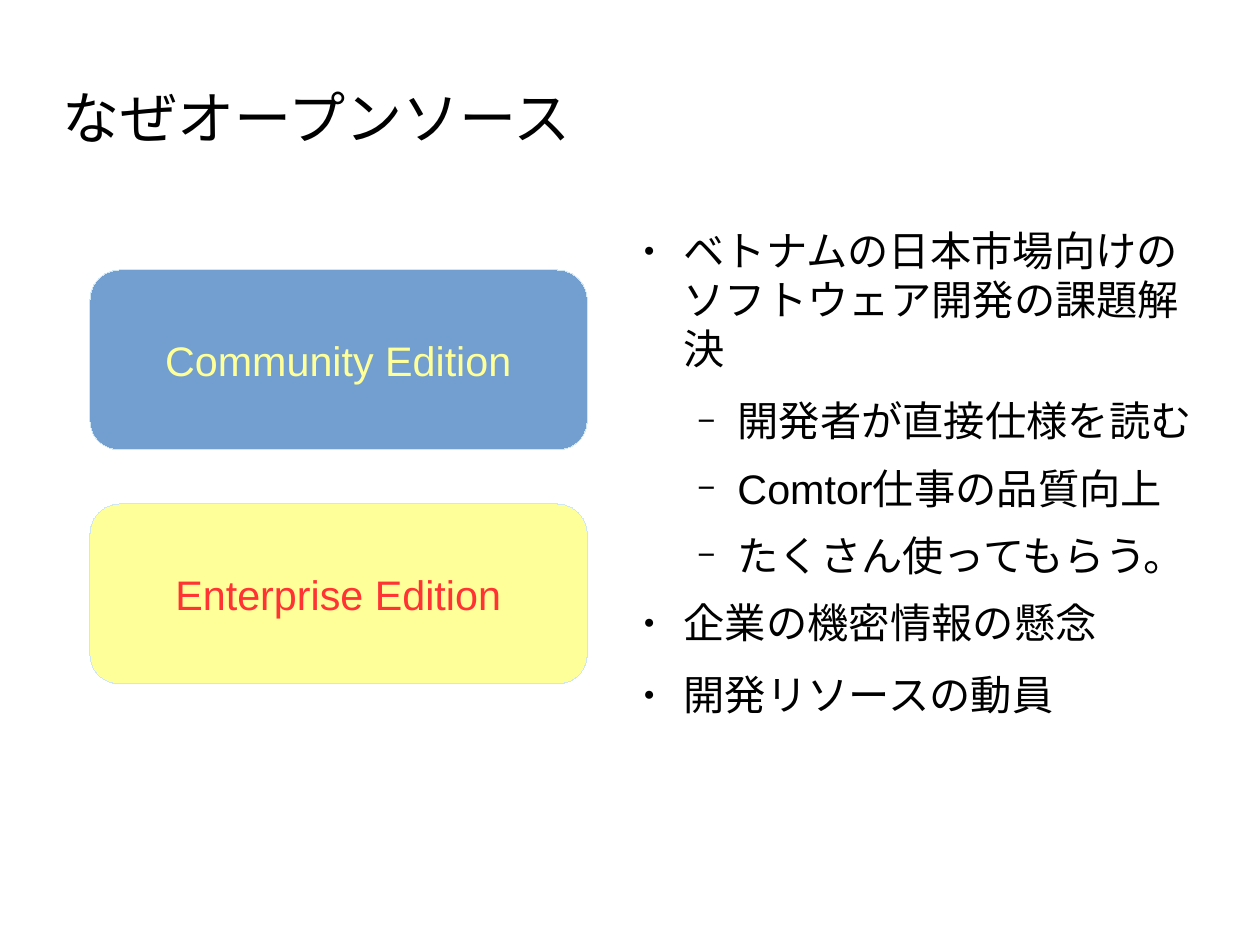
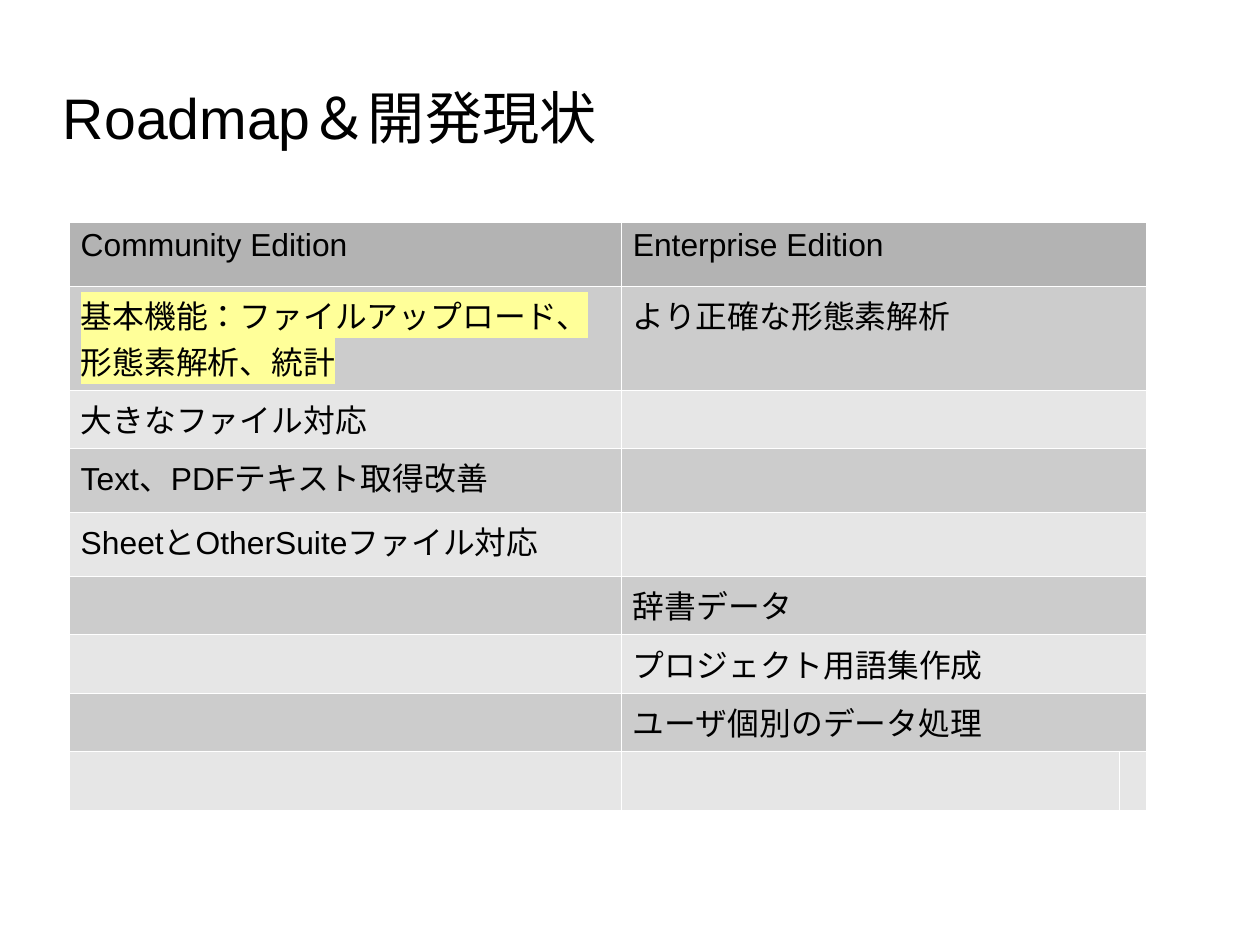
from dataclasses import dataclass

from lxml.etree import SubElement
from pptx import Presentation
from pptx.dml.color import RGBColor
from pptx.enum.lang import MSO_LANGUAGE_ID as Lang
from pptx.enum.shapes import MSO_SHAPE as Shape
from pptx.enum.text import MSO_ANCHOR as Anchor, MSO_AUTO_SIZE as AutoSize, PP_ALIGN as Align
from pptx.oxml.ns import qn
from pptx.slide import Slide
from pptx.util import Cm, Emu, Inches, Pt

GRID_COLUMNS, GRID_ROWS = 28, 21
SLIDE_WIDTH, SLIDE_HEIGHT = Cm(GRID_COLUMNS), Cm(GRID_ROWS)


@dataclass(frozen=True)
class Theme:
    font: str = "Arial"
    title_size: float = 36
    body_size: float = 26
    table_size: float = 20
    body_line: float = 31.1
    table_rule: float = 0.06
    ink: str = "000000"
    paper: str = "FFFFFF"
    blue: str = "729FCF"
    edge: str = "CFE7F5"
    yellow: str = "FFFF99"
    red: str = "FF3333"
    header: str = "B3B3B3"
    bands: tuple[str, str] = ("CCCCCC", "E6E6E6")


@dataclass(frozen=True)
class Area:
    """A rectangle in grid columns and rows."""
    column: float
    row: float
    columns: float
    rows: float

    def box(self) -> tuple[Emu, Emu, Emu, Emu]:
        return across(self.column), down(self.row), across(self.columns), down(self.rows)


@dataclass(frozen=True)
class BulletLevel:
    mark: str
    mark_percent: int
    margin: float
    space_after: float


@dataclass(frozen=True)
class Edition:
    name: str
    fill: str
    ink: str


@dataclass(frozen=True)
class RoadmapRow:
    community: str = ""
    enterprise: str = ""
    rows: float = 1.3
    done: bool = False


THEME = Theme()
TITLE_AREA = Area(1.4, 1.6, 20, 2)
REASONS_AREA = Area(14, 5, 12.6, 12.17)
FIRST_EDITION = Area(2, 6, 11.05, 4)
EDITION_STEP = 5.2
ROADMAP_CORNER = (1.54, 4.93)
ROADMAP_COLUMNS = (12.27, 11.05, 0.6)
HANGING_INDENT = Inches(0.35)

LEVELS = (BulletLevel("●", 45, 0.47, 14.2), BulletLevel("−", 75, 0.94, 11.3))
REASONS = (
    (0, "ベトナムの日本市場向けのソフトウェア開発の課題解決"),
    (1, "開発者が直接仕様を読む"),
    (1, "Comtor仕事の品質向上"),
    (1, "たくさん使ってもらう。"),
    (0, "企業の機密情報の懸念"),
    (0, "開発リソースの動員"),
)
EDITIONS = (
    Edition("Community Edition", THEME.blue, THEME.yellow),
    Edition("Enterprise Edition", THEME.yellow, THEME.red),
)
ROADMAP = (
    RoadmapRow(*(edition.name for edition in EDITIONS), rows=1.42),
    RoadmapRow("基本機能：ファイルアップロード、形態素解析、統計", "より正確な形態素解析", 2.31, done=True),
    RoadmapRow("大きなファイル対応"),
    RoadmapRow("Text、PDFテキスト取得改善", rows=1.42),
    RoadmapRow("SheetとOtherSuiteファイル対応", rows=1.42),
    RoadmapRow(enterprise="辞書データ"),
    RoadmapRow(enterprise="プロジェクト用語集作成"),
    RoadmapRow(enterprise="ユーザ個別のデータ処理"),
    RoadmapRow(),
)


def across(columns: float) -> Emu:
    return Emu(round(SLIDE_WIDTH * columns / GRID_COLUMNS))


def down(rows: float) -> Emu:
    return Emu(round(SLIDE_HEIGHT * rows / GRID_ROWS))


def rgb(code: str) -> RGBColor:
    return RGBColor.from_string(code)


def format_runs(paragraph, size: float, color: str = THEME.ink) -> None:
    for run in paragraph.runs:
        run.font.name = THEME.font
        run.font.size = Pt(size)
        run.font.color.rgb = rgb(color)
        run.font.language_id = Lang.JAPANESE


def place(placeholder, area: Area, anchor: Anchor):
    """Move a placeholder and return its text frame without margins."""
    placeholder.left, placeholder.top, placeholder.width, placeholder.height = area.box()
    frame = placeholder.text_frame
    frame.margin_left = frame.margin_right = frame.margin_top = frame.margin_bottom = 0
    frame.word_wrap = True
    frame.auto_size = AutoSize.NONE
    frame.vertical_anchor = anchor
    return frame


def add_titled_slide(deck, layout_name: str, title: str) -> Slide:
    slide = deck.slides.add_slide(deck.slide_layouts.get_by_name(layout_name))
    frame = place(slide.shapes.title, TITLE_AREA, Anchor.MIDDLE)
    frame.text = title
    frame.paragraphs[0].alignment = Align.LEFT
    format_runs(frame.paragraphs[0], THEME.title_size)
    return slide


def set_bullet(paragraph, level: BulletLevel) -> None:
    properties = paragraph._p.get_or_add_pPr()
    properties.set("marL", str(Inches(level.margin)))
    properties.set("indent", str(-HANGING_INDENT))
    color = SubElement(properties, qn("a:buClr"))
    SubElement(color, qn("a:srgbClr"), val=THEME.ink)
    SubElement(properties, qn("a:buSzPct"), val=str(level.mark_percent * 1000))
    SubElement(properties, qn("a:buChar"), char=level.mark)


def fill_reasons(slide: Slide) -> None:
    frame = place(slide.placeholders[1], REASONS_AREA, Anchor.TOP)
    frame.text = "\n".join(text for _, text in REASONS)
    for paragraph, (depth, _) in zip(frame.paragraphs, REASONS):
        level = LEVELS[depth]
        paragraph.level = depth
        paragraph.line_spacing = Pt(THEME.body_line)
        paragraph.space_before = Pt(0)
        paragraph.space_after = Pt(level.space_after)
        set_bullet(paragraph, level)
        format_runs(paragraph, THEME.body_size)


def add_edition(slide: Slide, edition: Edition, index: int) -> None:
    first = FIRST_EDITION
    area = Area(first.column, first.row + index * EDITION_STEP, first.columns, first.rows)
    card = slide.shapes.add_shape(Shape.ROUNDED_RECTANGLE, *area.box())
    card.shadow.inherit = False
    card.fill.solid()
    card.fill.fore_color.rgb = rgb(edition.fill)
    card.line.color.rgb = rgb(THEME.edge)
    card._element.spPr.get_or_add_ln().set("w", "0")
    frame = card.text_frame
    frame.word_wrap = False
    frame.vertical_anchor = Anchor.MIDDLE
    frame.text = edition.name
    frame.paragraphs[0].alignment = Align.CENTER
    format_runs(frame.paragraphs[0], THEME.body_size, edition.ink)


def style_cell(cell, fill: str) -> None:
    cell.fill.solid()
    cell.fill.fore_color.rgb = rgb(fill)
    properties = cell._tc.get_or_add_tcPr()
    for position, side in enumerate(("lnL", "lnR", "lnT", "lnB")):
        rule = SubElement(properties, qn(f"a:{side}"), w=str(Pt(THEME.table_rule)))
        SubElement(SubElement(rule, qn("a:solidFill")), qn("a:srgbClr"), val=THEME.paper)
        properties.insert(position, rule)


def write_cell(cell, text: str) -> None:
    cell.text = text
    format_runs(cell.text_frame.paragraphs[0], THEME.table_size)


def highlight(cell, color: str) -> None:
    for run in cell.text_frame.paragraphs[0].runs:
        properties = run.font._element
        marker = SubElement(properties, qn("a:highlight"))
        SubElement(marker, qn("a:srgbClr"), val=color)
        properties.find(qn("a:solidFill")).addnext(marker)


def add_roadmap(slide: Slide) -> None:
    area = Area(*ROADMAP_CORNER, sum(ROADMAP_COLUMNS), sum(entry.rows for entry in ROADMAP))
    table = slide.shapes.add_table(len(ROADMAP), len(ROADMAP_COLUMNS), *area.box()).table
    table.first_row = table.horz_banding = False
    for column, columns in zip(table.columns, ROADMAP_COLUMNS):
        column.width = across(columns)
    last = len(ROADMAP) - 1
    for index, entry in enumerate(ROADMAP):
        table.rows[index].height = down(entry.rows)
        cells = [table.cell(index, column) for column in range(len(ROADMAP_COLUMNS))]
        for cell in cells:
            style_cell(cell, THEME.bands[(index - 1) % 2] if index else THEME.header)
        if index < last:
            cells[1].merge(cells[2])
        for cell, text in zip(cells, (entry.community, entry.enterprise)):
            if text:
                write_cell(cell, text)
        if entry.done:
            highlight(cells[0], THEME.yellow)


def main() -> None:
    deck = Presentation()
    deck.slide_width, deck.slide_height = SLIDE_WIDTH, SLIDE_HEIGHT

    why_open_source = add_titled_slide(deck, "Title and Content", "なぜオープンソース")
    fill_reasons(why_open_source)
    for index, edition in enumerate(EDITIONS):
        add_edition(why_open_source, edition, index)

    add_roadmap(add_titled_slide(deck, "Title Only", "Roadmap＆開発現状"))
    deck.save("out.pptx")


if __name__ == "__main__":
    main()
